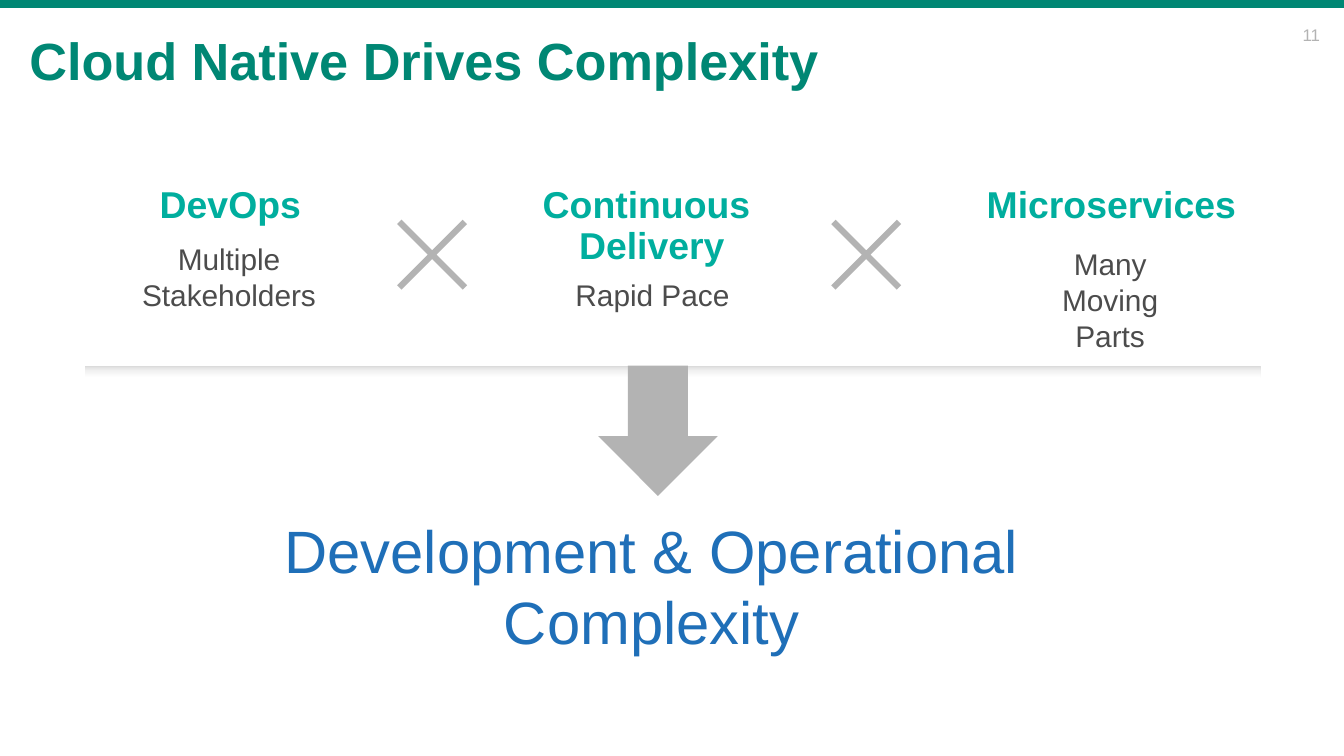
from pptx import Presentation
from pptx.dml.color import RGBColor
from pptx.enum.shapes import MSO_SHAPE
from pptx.enum.text import MSO_ANCHOR, PP_ALIGN
from pptx.oxml import parse_xml
from pptx.oxml.ns import nsdecls
from pptx.util import Inches, Pt

RECTANGLE, DOWN_ARROW, CROSS = MSO_SHAPE.RECTANGLE, MSO_SHAPE.DOWN_ARROW, MSO_SHAPE.CROSS
TOP, MIDDLE, BOTTOM = MSO_ANCHOR.TOP, MSO_ANCHOR.MIDDLE, MSO_ANCHOR.BOTTOM
LEFT, CENTER, RIGHT = PP_ALIGN.LEFT, PP_ALIGN.CENTER, PP_ALIGN.RIGHT

THEME = {
    "font": "Arial",
    "bar": "008774",
    "gray": "B3B3B3",
    "divider": [(0, "D9D9D9"), (47, "F2F2F2"), (100, "FFFFFF")],
    "title": {"size": 28, "color": "008774", "bold": True},
    "number": {"size": 9, "color": "B3B3B3", "bold": False},
    "driver": {"size": 20, "color": "00AE9E", "bold": True},
    "detail": {"size": 16, "color": "4C4C4C", "bold": False},
    "outcome": {"size": 32, "color": "1F6FB8", "bold": False},
}

CENTERED = {"alignment": CENTER}
SPACED = {"alignment": CENTER, "space_after": Pt(3)}
TIGHT = {**SPACED, "line_spacing": 0.8}
NARROW = {"margin_left": Inches(0.15), "margin_right": Inches(0.15)}

TEXTS = [
    (["11"], "number", (9.45, 0.13, 0.47, 0.25), {"alignment": RIGHT}, {"vertical_anchor": MIDDLE}),
    (["Cloud Native Drives Complexity"], "title", (0.12, 0.16, 9.62, 0.52),
     {"alignment": LEFT}, {"vertical_anchor": BOTTOM, "margin_bottom": 0}),
    (["DevOps"], "driver", (0.98, 1.3, 1.47, 0.44), SPACED, {}),
    (["Continuous ", "Delivery"], "driver", (3.93, 1.36, 1.84, 0.69), TIGHT, {}),
    (["Microservices"], "driver", (7.17, 1.3, 2.2, 0.44), SPACED, {}),
    (["Multiple Stakeholders"], "detail", (0.82, 1.74, 1.77, 0.64), CENTERED, {}),
    (["Rapid Pace"], "detail", (4.18, 2.01, 1.35, 0.37), CENTERED, {"word_wrap": False}),
    (["Many Moving\vParts"], "detail", (7.5, 1.78, 1.52, 0.64), CENTERED, NARROW),
    (["Development & Operational Complexity"], "outcome", (1.38, 3.77, 6.94, 1.18), SPACED, {}),
]

TIMES_LEFTS = [2.87, 6.1]
TIMES_TOP, TIMES_SIZE = 1.55, 0.69


def add_figure(slide, preset, box, color):
    figure = slide.shapes.add_shape(preset, *map(Inches, box))
    figure.shadow.inherit = False
    figure.line.fill.background()
    figure.fill.solid()
    figure.fill.fore_color.rgb = RGBColor.from_string(color)
    return figure


def add_divider(slide, box):
    divider = add_figure(slide, RECTANGLE, box, THEME["divider"][0][1])
    stops = "".join(
        f'<a:gs pos="{percent * 1000}"><a:srgbClr val="{color}"/></a:gs>'
        for percent, color in THEME["divider"]
    )
    gradient = parse_xml(
        f'<a:gradFill {nsdecls("a")} rotWithShape="1"><a:gsLst>{stops}</a:gsLst>'
        '<a:lin ang="5400000" scaled="0"/></a:gradFill>'
    )
    properties = divider._element.spPr
    properties.replace(properties.solidFill, gradient)


def add_text(slide, lines, role, box, paragraph_format, frame_format):
    style = THEME[role]
    frame = slide.shapes.add_textbox(*map(Inches, box)).text_frame
    for name, value in {"word_wrap": True, "vertical_anchor": TOP, **frame_format}.items():
        setattr(frame, name, value)
    frame.text = "\n".join(lines)
    font_format = {"name": THEME["font"], "size": Pt(style["size"]), "bold": style["bold"]}
    for paragraph in frame.paragraphs:
        for name, value in paragraph_format.items():
            setattr(paragraph, name, value)
        for run in paragraph.runs:
            for name, value in font_format.items():
                setattr(run.font, name, value)
            run.font.color.rgb = RGBColor.from_string(style["color"])


def main():
    deck = Presentation()
    deck.slide_width = Inches(10)
    deck.slide_height = deck.slide_width * 9 // 16
    slide = deck.slides.add_slide(deck.slide_layouts[6])

    add_figure(slide, RECTANGLE, (0, 0, 10, 0.06), THEME["bar"])
    add_divider(slide, (0.63, 2.72, 8.75, 0.09))
    for text in TEXTS:
        add_text(slide, *text)
    add_figure(slide, DOWN_ARROW, (4.45, 2.72, 0.89, 0.97), THEME["gray"])
    for left in TIMES_LEFTS:
        times = add_figure(slide, CROSS, (left, TIMES_TOP, TIMES_SIZE, TIMES_SIZE), THEME["gray"])
        times.adjustments[0] = 0.467
        times.rotation = 45

    deck.save("out.pptx")


if __name__ == "__main__":
    main()
